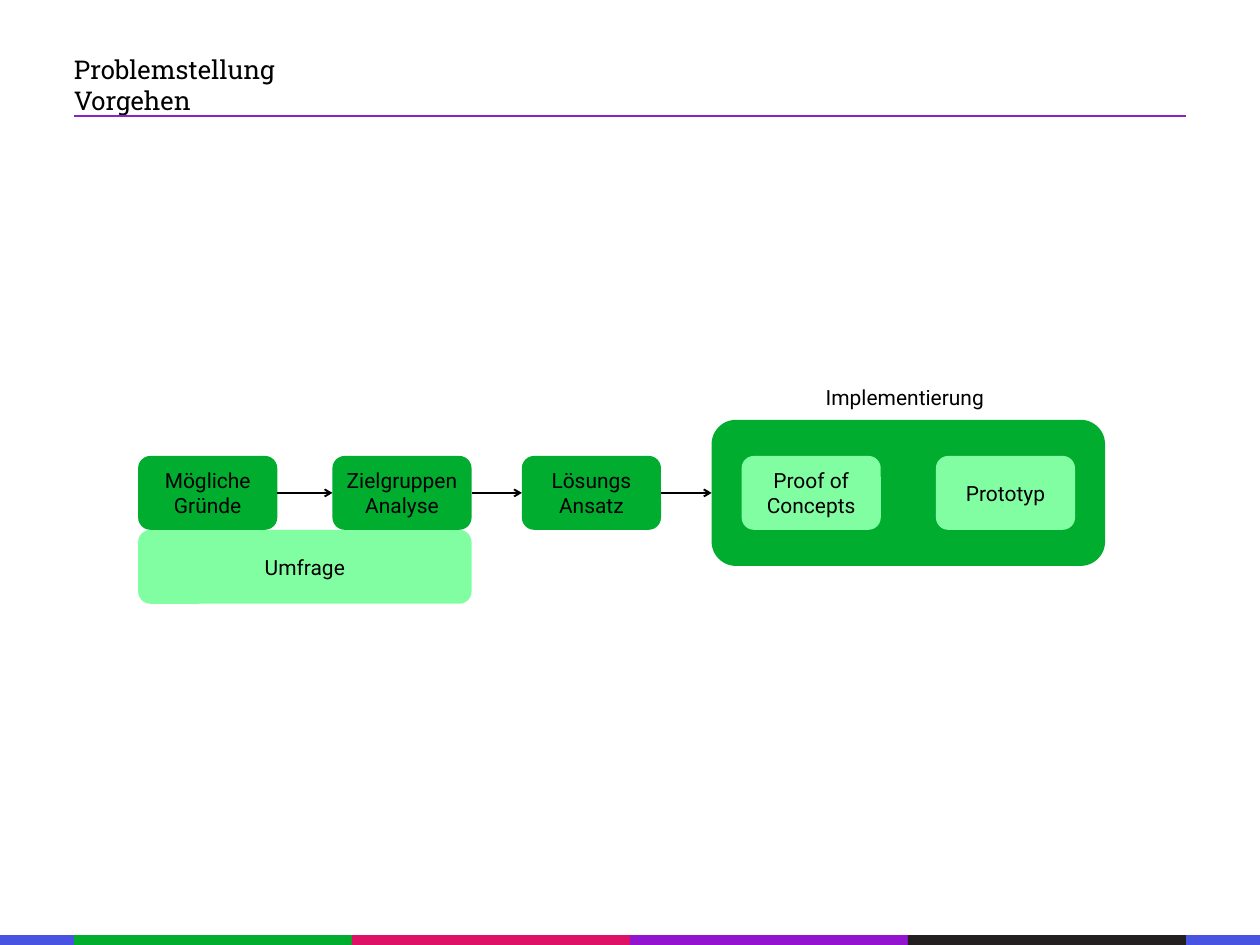
import pptx
import pptx.util
import pptx.dml.color
import pptx.enum.shapes
import pptx.enum.text
import pptx.oxml
import pptx.oxml.ns

Cm = pptx.util.Cm
Pt = pptx.util.Pt
MSO_SHAPE = pptx.enum.shapes.MSO_SHAPE
MSO_ANCHOR = pptx.enum.text.MSO_ANCHOR
PP_ALIGN = pptx.enum.text.PP_ALIGN

WIDTH, HEIGHT = 36.12, 27.1
MARGIN = 2.12
STEP_W, STEP_H = 3.99, 2.12
GREEN, LIGHT_GREEN = "01AD2F", "82FEA2"
BLACK, PURPLE = "000000", "8723C7"


def rgb(value):
    """Return the colour for a hex string."""
    return pptx.dml.color.RGBColor.from_string(value)


def write(sp, text, font, size, align, anchor):
    """Fill a shape with wrapped, formatted text without insets."""
    tf = sp.text_frame
    tf.text = text
    tf.word_wrap = True
    tf.vertical_anchor = anchor
    tf.margin_left = tf.margin_right = tf.margin_top = tf.margin_bottom = 0
    for p in tf.paragraphs:
        p.alignment = align
        for r in p.runs:
            r.font.name = font
            r.font.size = Pt(size)
            r.font.color.rgb = rgb(BLACK)


def add_block(slide, kind, box, fill, text=""):
    """Add a filled shape without outline, with a centred label if given."""
    sp = slide.shapes.add_shape(kind, *map(Cm, box))
    sp.shadow.inherit = False
    sp.fill.solid()
    sp.fill.fore_color.rgb = rgb(fill)
    sp.line.fill.background()
    if text:
        write(sp, text, "Roboto", 17, PP_ALIGN.CENTER, MSO_ANCHOR.MIDDLE)
    return sp


def add_line(slide, start, end, color, width):
    """Add a straight line without shadow between two points."""
    line = slide.shapes.add_connector(
        pptx.enum.shapes.MSO_CONNECTOR.STRAIGHT, *map(Cm, start + end))
    line.line.color.rgb = rgb(color)
    line.line.width = Pt(width)
    pptx.oxml.ns.qn("a:effectLst")
    line._element.spPr.append(pptx.oxml.parse_xml(
        "<a:effectLst %s/>" % pptx.oxml.ns.nsdecls("a")))
    return line


def add_arrow(slide, source, target):
    """Join the right side of one block to the left side of the next."""
    line = add_line(slide, (0, 0), (1, 1), BLACK, 1.5)
    line.begin_connect(source, 3)
    line.end_connect(target, 1)
    line.line._get_or_add_ln().append(pptx.oxml.parse_xml(
        '<a:tailEnd %s type="arrow"/>' % pptx.oxml.ns.nsdecls("a")))


def add_header(slide, box):
    """Add the two-line heading and the rule along the bottom of the box."""
    x, y, w, h = box
    sp = slide.shapes.add_textbox(Cm(x), Cm(y), Cm(w / 2), Cm(h))
    write(sp, "Problemstellung\nVorgehen", "Roboto Slab", 21,
          PP_ALIGN.LEFT, MSO_ANCHOR.MIDDLE)
    add_line(slide, (x, y + h), (x + w, y + h), PURPLE, 2)


def add_footer(slide, box):
    """Add the colour strip: four equal segments between two end pieces."""
    x, y, w, h = box
    colors = ["01AD2F", "DD1166", "9314CE", "231F20"]
    segment = (w - 2 * MARGIN) / len(colors)
    for i, color in enumerate(colors):
        add_block(slide, MSO_SHAPE.RECTANGLE,
                  (x + MARGIN + i * segment, y, segment, h), color)
    for left in (x, x + w - MARGIN):
        add_block(slide, MSO_SHAPE.RECTANGLE, (left, y, MARGIN, h), "4953E1")


def add_implementation(slide, box):
    """Add the captioned panel with its two inner steps and return the panel."""
    x, y, w, h = box
    panel = add_block(slide, MSO_SHAPE.ROUNDED_RECTANGLE, box, GREEN)
    pad = 0.86
    top = y + (h - STEP_H) / 2
    for left, text in ((x + pad, "Proof of Concepts"),
                       (x + w - pad - STEP_W, "Prototyp")):
        add_block(slide, MSO_SHAPE.ROUNDED_RECTANGLE,
                  (left, top, STEP_W, STEP_H), LIGHT_GREEN, text)
    caption = slide.shapes.add_textbox(
        Cm(x + 3.27), Cm(y - 1.02), Cm(5), Cm(0.74))
    write(caption, "Implementierung", "Roboto", 17,
          PP_ALIGN.LEFT, MSO_ANCHOR.TOP)
    return panel


def add_process(slide, box):
    """Add the three steps, the survey below them and the implementation."""
    x, y, w, h = box
    panel_w = 11.28
    top = y + (h - STEP_H) / 2
    second = 5.57
    add_block(slide, MSO_SHAPE.ROUNDED_RECTANGLE,
              (x, top + STEP_H, second + STEP_W, STEP_H),
              LIGHT_GREEN, "Umfrage")
    steps = [(0, "Mögliche Gründe"), (second, "Zielgruppen Analyse"),
             (11, "Lösungs\nAnsatz")]
    chain = [add_block(slide, MSO_SHAPE.ROUNDED_RECTANGLE,
                       (x + dx, top, STEP_W, STEP_H), GREEN, text)
             for dx, text in steps]
    chain.append(add_implementation(slide, (x + w - panel_w, y, panel_w, h)))
    for source, target in zip(chain, chain[1:]):
        add_arrow(slide, source, target)


def main():
    """Build and save the slide."""
    prs = pptx.Presentation()
    prs.slide_width, prs.slide_height = Cm(WIDTH), Cm(HEIGHT)
    slide = prs.slides.add_slide(prs.slide_layouts[6])
    add_header(slide, (MARGIN, 1.51, WIDTH - 2 * MARGIN, 1.81))
    add_footer(slide, (0, HEIGHT - 0.28, WIDTH, 0.28))
    add_process(slide, (3.96, 12.04, 27.72, 4.19))
    prs.save("out.pptx")


if __name__ == "__main__":
    main()
